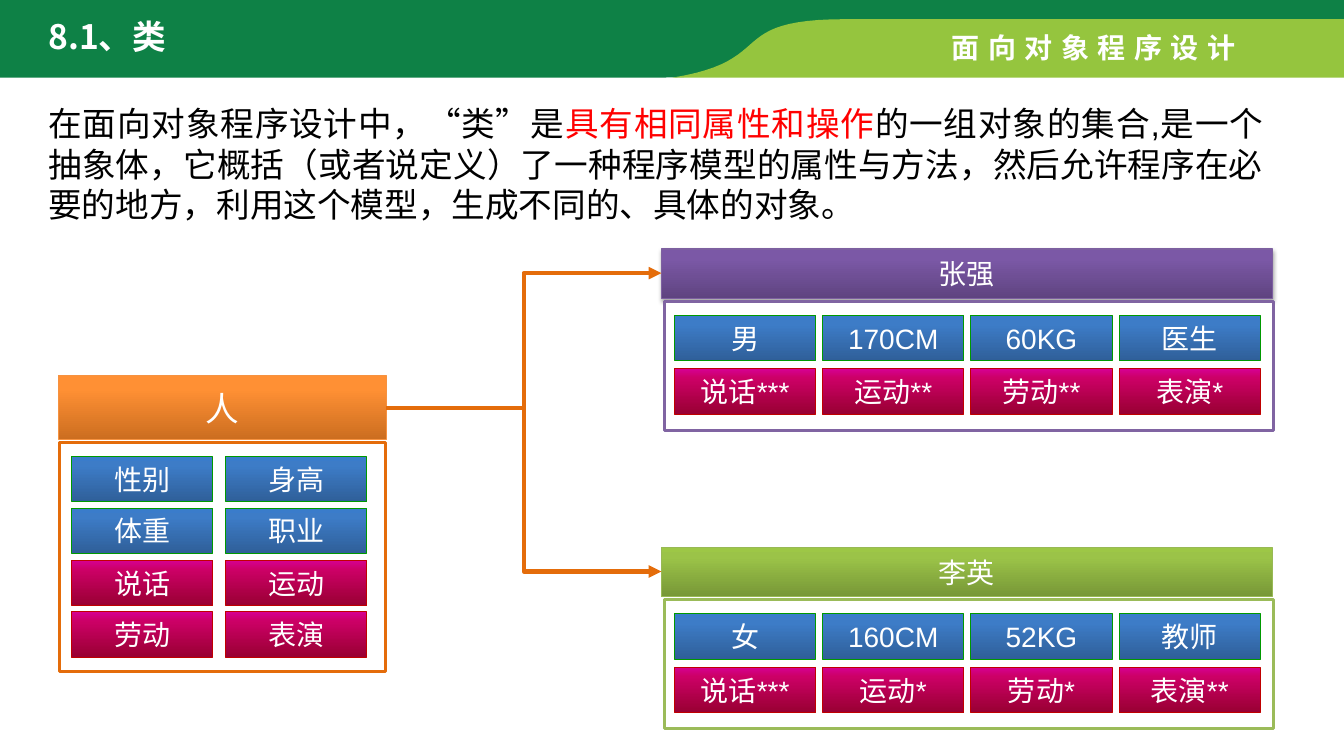
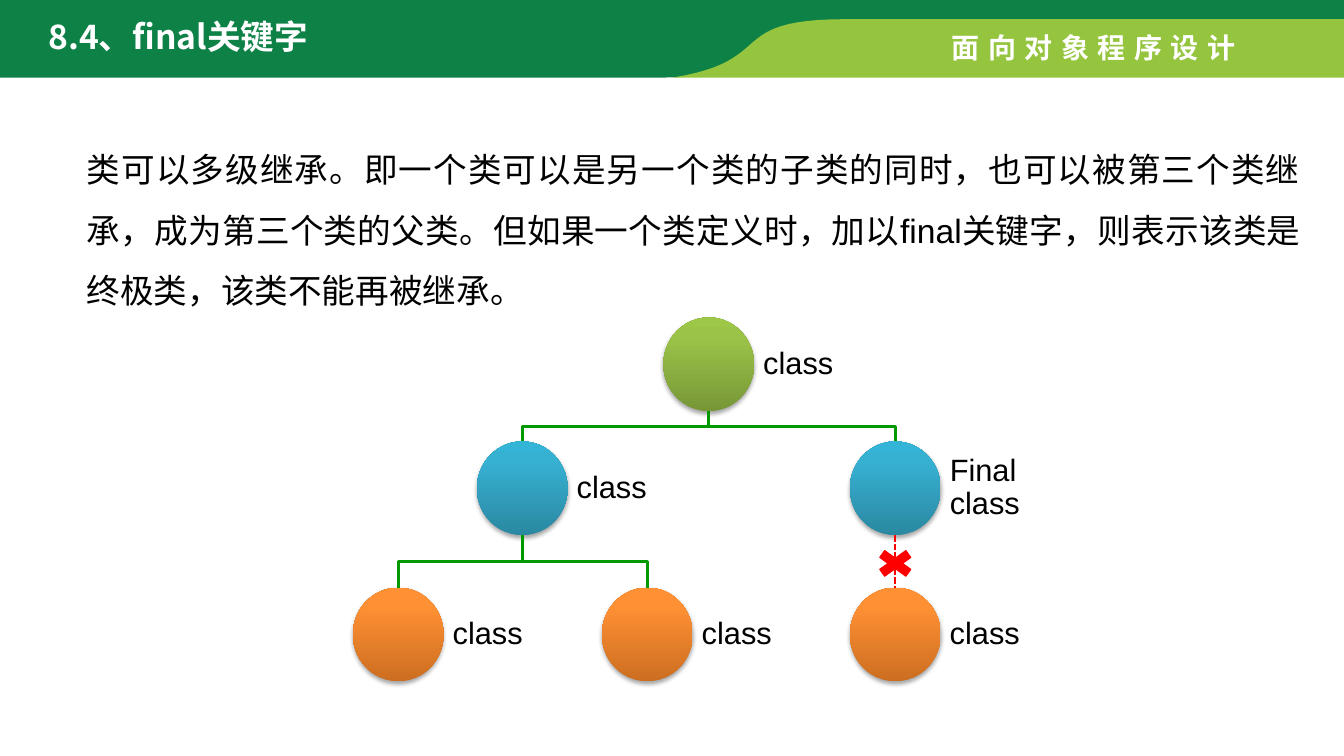
from copy import deepcopy
from dataclasses import dataclass

from lxml.etree import SubElement as Sub
from pptx import Presentation
from pptx.dml.color import RGBColor as Rgb
from pptx.enum.dml import MSO_LINE as Dash
from pptx.enum.shapes import MSO_CONNECTOR as Wire, MSO_SHAPE as Form
from pptx.enum.text import MSO_ANCHOR as Anchor, MSO_AUTO_SIZE as Fit, PP_ALIGN as Align
from pptx.oxml.ns import qn
from pptx.util import Inches, Pt


@dataclass(frozen=True)
class Theme:
    font: str = "Arial"
    cjk: str = "Noto Sans CJK SC"
    big: int = 24
    mid: int = 20
    node: int = 22
    white: str = "FFFFFF"
    black: str = "000000"
    red: str = "FF0000"
    dark: str = "0E8146"
    light: str = "95C53E"
    wire: str = "E46C0A"
    tree: str = "009900"
    # Gradients run from the bottom up
    orange: tuple = ("CC6E20", "FF9034", "FF9136")
    purple: tuple = ("5F4480", "7B58A6", "7C57A8")
    green: tuple = ("779737", "9BC348", "9DC746")
    teal: tuple = ("2A88A2", "37B1D2", "34B4D6")
    blue: tuple = ("2F5F99", "3D7CC7", "3A7CCB")
    wine: tuple = ("990033", "CC0066", "D60093")


T = Theme()


def write(frame, runs, size, align=Align.LEFT, anchor=Anchor.MIDDLE,
          font=T.font, bold=False, lead=None):
    """Fill the first paragraph of a frame with (text, colour) runs."""
    frame.word_wrap = True
    frame.auto_size = Fit.NONE
    frame.vertical_anchor = anchor
    para = frame.paragraphs[0]
    para.alignment = align
    para.space_before = Pt(0)
    if lead:
        para.line_spacing = lead
    for text, color in runs:
        run = para.add_run()
        run.text = text
        run.font.size = Pt(size)
        run.font.name = font
        run.font.bold = bold
        run.font.color.rgb = Rgb.from_string(color)
        Sub(run.font._element, qn("a:ea"), typeface=T.cjk)


def box(slide, form, at, fill=None, edge=None, width=0.75, shade=False):
    """Add a shape with no fill, a solid one or a three-stop gradient."""
    shape = slide.shapes.add_shape(form, *map(Inches, at))
    shape.shadow.inherit = False
    if isinstance(fill, tuple):
        shape.fill.gradient()
        shape.fill.gradient_angle = 90
        stops = shape.element.spPr.find(".//" + qn("a:gsLst"))
        stops.append(deepcopy(stops[-1]))
        for stop, spot, color in zip(shape.fill.gradient_stops, (0, 0.8, 1), fill):
            stop.position = spot
            stop.color.rgb = Rgb.from_string(color)
    elif fill:
        shape.fill.solid()
        shape.fill.fore_color.rgb = Rgb.from_string(fill)
    else:
        shape.fill.background()
    if edge:
        shape.line.color.rgb = Rgb.from_string(edge)
        shape.line.width = Pt(width)
    else:
        shape.line.fill.background()
    if shade:
        cast = Sub(shape.element.spPr.find(qn("a:effectLst")), qn("a:outerShdw"),
                   blurRad="40000", dist="23000", dir="5400000", rotWithShape="0")
        tint = Sub(cast, qn("a:srgbClr"), val=T.black)
        Sub(tint, qn("a:alpha"), val="35000")
    return shape


deck = Presentation()
deck.slide_width = Inches(13.33)
deck.slide_height = Inches(7.5)
layout = deck.slide_layouts[1]

# Titles and body text
pages = [
    ("8.1、类", (0.38, 0.97, 12.25, 1.31), Anchor.MIDDLE, None,
     [("在面向对象程序设计中，“类”是", T.black),
      ("具有相同属性和操作", T.red),
      ("的一组对象的集合,是一个抽象体，它概括（或者说定义）了一种程序模型的属性与方法，"
       "然后允许程序在必要的地方，利用这个模型，生成不同的、具体的对象。", T.black)]),
    ("8.4、final关键字", (0.76, 1.23, 12.24, 1.92), Anchor.TOP, 1.5,
     [("类可以多级继承。即一个类可以是另一个类的子类的同时，也可以被第三个类继承，"
       "成为第三个类的父类。但如果一个类定义时，加以final关键字，则表示该类是终极类，"
       "该类不能再被继承。", T.black)]),
]
slides = []
for head, at, anchor, lead, runs in pages:
    slide = deck.slides.add_slide(layout)
    slides.append(slide)
    title, body = slide.shapes.title, slide.placeholders[1]
    for holder, area in ((title, (0.38, 0.11, 4.8, 0.5)), (body, at)):
        holder.left, holder.top, holder.width, holder.height = map(Inches, area)
    write(title.text_frame, [(head, T.white)], T.big, anchor=Anchor.TOP,
          font=T.cjk, bold=True)
    props = body.text_frame.paragraphs[0]._p.get_or_add_pPr()
    for key in ("marL", "indent", "hangingPunct"):
        props.set(key, "0")
    Sub(props, qn("a:buNone"))
    write(body.text_frame, runs, T.big, Align.JUSTIFY, anchor, lead=lead)
first, second = slides

# Header bands: straight corners, then one Bezier curve that closes the outline
bands = [
    (T.dark, [(0, 0.77), (0, 0), (13.33, 0), (13.33, 0.24), (8.27, 0.24)],
     [(8.09, 0.28), (7.27, 0.44), (7.7, 0.77), (6.55, 0.77)]),
    (T.light, [(13.33, 0.19), (13.33, 0.77)],
     [(6.67, 0.77), (7.73, 0.6), (7.17, 0.19), (8.39, 0.19)]),
]
parts = []
for color, edge, curve in bands:
    dots = list(edge)
    for step in range(25):
        t = step / 24
        mix = ((1 - t) ** 3, 3 * t * (1 - t) ** 2, 3 * t * t * (1 - t), t ** 3)
        dots.append([sum(m * p[axis] for m, p in zip(mix, curve)) for axis in (0, 1)])
    dots = [(Inches(x), Inches(y)) for x, y in dots]
    pen = first.shapes.build_freeform(*dots[0])
    pen.add_line_segments(dots[1:], close=True)
    band = pen.convert_to_shape()
    band.shadow.inherit = False
    band.fill.solid()
    band.fill.fore_color.rgb = Rgb.from_string(color)
    band.line.fill.background()
    parts.append(band)

# Course name on the light band
course = first.shapes.add_textbox(*map(Inches, (9.34, 0.25, 3.12, 0.44)))
write(course.text_frame, [("面向对象程序设计", T.white)], T.mid, anchor=Anchor.TOP, bold=True)
course.text_frame.word_wrap = False
course.text_frame.paragraphs[0].runs[0].font._element.set("spc", "600")
parts.append(course)

# The layout carries the header for every slide
for spot, part in enumerate(parts, 2):
    layout.shapes.element.insert(spot, part.element)

# Slide 1: class card and two object cards
cards = [
    ("人", (0.58, 3.73, 3.25, 0.63), T.big, T.orange, "F69240", T.wire, 2.25, 0.01, 2.27,
     2, 1.53, 0.51, False,
     ["性别", "身高", "体重", "职业", "说话", "运动", "劳动", "表演"]),
    ("张强", (6.56, 2.47, 6.06, 0.49), T.mid, T.purple, "7D60A0", "8064A2", 2, 0.03, 1.28,
     4, 1.47, 0.52, True,
     ["男", "170CM", "60KG", "医生", "说话***", "运动**", "劳动**", "表演*"]),
    ("李英", (6.56, 5.43, 6.06, 0.49), T.mid, T.green, "98B955", "9BBB59", 2, 0.03, 1.28,
     4, 1.47, 0.52, False,
     ["女", "160CM", "52KG", "教师", "说话***", "运动*", "劳动*", "表演**"]),
]
for name, at, size, fill, edge, rim, thick, inset, tall, cols, dx, dy, shade, cells in cards:
    x, y, wide, high = at
    head = box(first, Form.RECTANGLE, at, fill, edge, shade=shade)
    write(head.text_frame, [(name, T.white)], size, Align.CENTER)
    box(first, Form.RECTANGLE, (x + inset, y + high + 0.03, wide - 0.02, tall),
        T.white, rim, thick)
    for i, label in enumerate(cells):
        row, col = divmod(i, cols)
        fill, edge, drop = (T.blue, T.tree, 0.17) if i < 4 else (T.wine, "C00000", 0.18)
        cell = box(first, Form.RECTANGLE,
                   (x + 0.13 + col * dx, y + high + drop + row * dy, 1.4, 0.45), fill, edge)
        write(cell.text_frame, [(label, T.white)], T.mid, Align.CENTER)

# Slide 2: class tree, each node a ball with its label
wide, high = 0.9, 0.93
nodes = {
    "root": (6.58, 3.15, T.green, "class", 1.34),
    "open": (4.73, 4.38, T.teal, "class", 1.34),
    "left": (3.5, 5.83, T.orange, "class", 1.34),
    "right": (5.97, 5.83, T.orange, "class", 1.34),
    "final": (8.43, 4.38, T.teal, "Final class", 1.01),
    "barred": (8.43, 5.83, T.orange, "class", 1.34),
}
for x, y, fill, label, span in nodes.values():
    box(second, Form.OVAL, (x, y, wide, high), fill, shade=True)
    frame = box(second, Form.RECTANGLE, (x + wide, y, span, high)).text_frame
    frame.margin_left = frame.margin_right = Inches(0.09)
    frame.margin_top = frame.margin_bottom = Inches(0.09)
    write(frame, [(label, T.black)], T.node, lead=0.9)

# Connectors: slide, kind, ends, turn in degrees, colour, width
wires = [(first, Wire.ELBOW, (3.83, 4.05, 6.56, y), 0, T.wire, 3) for y in (2.71, 5.67)]
for top, low in (("root", "final"), ("root", "open"), ("open", "right"), ("open", "left")):
    (x1, y1), (x2, y2) = nodes[top][:2], nodes[low][:2]
    y1 += high
    # A vertical elbow is a level one turned about its centre
    cx, cy = (x1 + x2 + wide) / 2, (y1 + y2) / 2
    side = 1 if x2 > x1 else -1
    dx, dy = side * (y2 - y1) / 2, abs(x2 - x1) / 2
    wires.append((second, Wire.ELBOW, (cx + dx, cy - dy, cx - dx, cy + dy),
                  270 if side > 0 else 90, T.tree, 2.25))
wires.append((second, Wire.STRAIGHT, (8.88, 5.31, 8.88, 5.83), 0, T.red, 1.5))
for slide, kind, ends, turn, color, width in wires:
    link = slide.shapes.add_connector(kind, *map(Inches, ends))
    link.line.color.rgb = Rgb.from_string(color)
    link.line.width = Pt(width)
    if turn:
        link.element.spPr.find(qn("a:xfrm")).set("rot", str(turn * 60000))
    if kind == Wire.STRAIGHT:
        link.line.dash_style = Dash.SQUARE_DOT
    if slide is first:
        Sub(link.line._get_or_add_ln(), qn("a:tailEnd"), type="triangle")
    Sub(link.element.spPr, qn("a:effectLst"))

# Cross on the barred link
box(second, Form.MATH_MULTIPLY, (8.63, 5.41, 0.5, 0.36), T.red, T.red)

deck.save("out.pptx")
